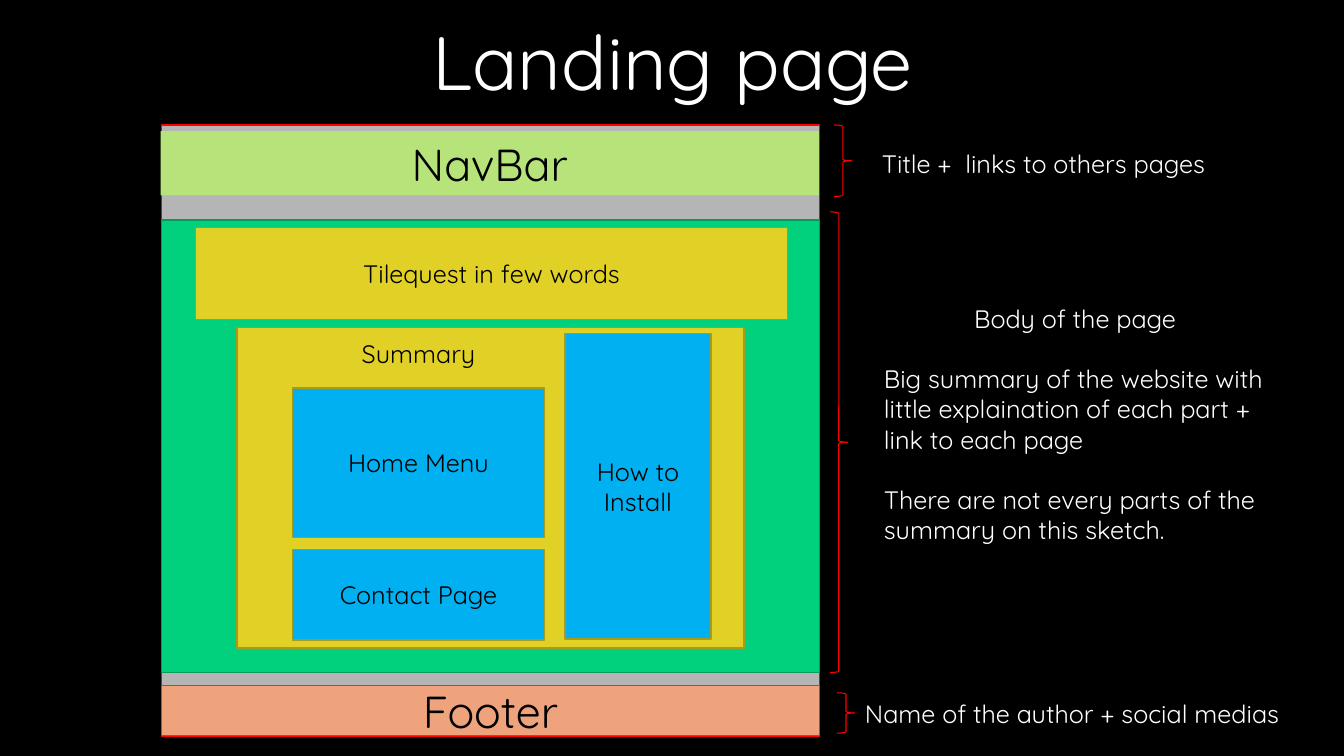
from pptx import Presentation
from pptx.dml.color import RGBColor
from pptx.enum import shapes, text
from pptx.util import Inches, Pt

COLORS = {
    "black": "000000", "white": "FFFFFF", "red": "FF0000", "gray": "B5B5B5",
    "lime": "B6E37A", "green": "01D17D", "dark green": "019B5C",
    "salmon": "EFA37D", "yellow": "E1D126", "olive": "A69B1C", "blue": "00B0F0",
}
FONT = "Quicksand"
WIDTH, HEIGHT = 13.33, 7.5
BLANK_LINE = 21.6  # points between note paragraphs


def rgb(name):
    return RGBColor.from_string(COLORS[name])


def inside(box, left, top, width, height):
    """Turn percentages of a box into a box in inches."""
    x, y, w, h = box
    return (x + w * left / 100, y + h * top / 100,
            w * width / 100, h * height / 100)


def write(sp, paragraphs, size=18, color="black", anchor="MIDDLE", gap=0):
    """Fill a shape with (alignment, wording) paragraphs."""
    tf = sp.text_frame
    frame_format = {"word_wrap": True, "auto_size": text.MSO_AUTO_SIZE.NONE,
                    "vertical_anchor": text.MSO_ANCHOR[anchor]}
    for name, value in frame_format.items():
        setattr(tf, name, value)
    for i, (align, words) in enumerate(paragraphs):
        p = tf.add_paragraph() if i else tf.paragraphs[0]
        p.alignment = text.PP_ALIGN[align]
        p.space_before = Pt(gap if i else 0)
        r = p.add_run()
        r.text = words
        r.font.color.rgb = rgb(color)
        for name, value in {"name": FONT, "size": Pt(size)}.items():
            setattr(r.font, name, value)


def add_shape(s, kind, box, fill=None, line=None, weight=1):
    sp = s.shapes.add_shape(kind, *map(Inches, box))
    sp.shadow.inherit = False
    if fill:
        sp.fill.solid()
        sp.fill.fore_color.rgb = rgb(fill)
    else:
        sp.fill.background()
    if line:
        sp.line.color.rgb = rgb(line)
        sp.line.width = Pt(weight)
    else:
        sp.line.fill.background()
    return sp


def add_label(s, box, paragraphs, **style):
    sp = s.shapes.add_textbox(*map(Inches, box))
    write(sp, paragraphs, anchor="TOP", **style)


def add_title(s, box, words):
    title = s.shapes.title
    for name, value in zip(("left", "top", "width", "height"), box):
        setattr(title, name, Inches(value))
    write(title, [("CENTER", words)], size=54, color="white", anchor="TOP")


def add_sketch(s, box):
    """Draw the page wireframe: frame, page sections, then summary cards."""
    blocks = [
        # left, top, width, height (%), fill, line, wording, size
        ((0, 0, 100, 100), "gray", "red", None, 18),
        ((-0.1, 1, 100, 10.5), "lime", None, "NavBar", 32),
        ((0, 15.5, 100, 74), "green", "dark green", None, 18),
        ((0, 91.6, 100, 8.2), "salmon", "dark green", "Footer", 32),
        ((5.2, 16.8, 89.9, 15), "yellow", "olive", "Tilequest in few words", 18),
        ((11.5, 33.1, 77, 52.4), "yellow", "olive", None, 18),
        ((19.9, 43, 38.3, 24.4), "blue", "olive", "Home Menu", 18),
        ((61.3, 34.1, 22.2, 49.9), "blue", "olive", "How to Install", 18),
        ((19.9, 69.4, 38.3, 14.8), "blue", "olive", "Contact Page", 18),
    ]
    for share, fill, line, words, size in blocks:
        sp = add_shape(s, shapes.MSO_SHAPE.RECTANGLE, inside(box, *share), fill, line)
        if words:
            write(sp, [("CENTER", words)], size=size)
    add_label(s, inside(box, 19.9, 34.1, 38.3, 6.6), [("CENTER", "Summary")])


def add_notes_column(s, box):
    """Place one brace and its explanation beside each page section."""
    notes = [
        # brace (%), explanation (%), paragraphs
        ((0.8, 0, 3.5, 11.7), (8.2, 3, 87, 6.6),
         [("LEFT", "Title +  links to others pages")]),
        ((0, 14.2, 3.5, 75.3), (8.6, 28.3, 78.2, 41.5),
         [("CENTER", "Body of the page"),
          ("LEFT", "Big summary of the website with little explaination "
                   "of each part + link to each page"),
          ("LEFT", "There are not every parts of the summary on this sketch.")]),
        ((1.4, 92.8, 3.5, 6.6), (4.9, 92.9, 95.1, 6.6),
         [("LEFT", "Name of the author + social medias")]),
    ]
    for brace, label, paragraphs in notes:
        add_shape(s, shapes.MSO_SHAPE.RIGHT_BRACE, inside(box, *brace),
                  line="red", weight=0.75)
        add_label(s, inside(box, *label), paragraphs, color="white", gap=BLANK_LINE)


def main():
    prs = Presentation()
    prs.slide_width, prs.slide_height = Inches(WIDTH), Inches(HEIGHT)
    s = prs.slides.add_slide(prs.slide_layouts.get_by_name("Title Only"))
    s.background.fill.solid()
    s.background.fill.fore_color.rgb = rgb("black")

    # Title across the top, sketch on the left, notes on the right
    add_title(s, (0.25, 0.1, 12.84, 1.01), "Landing page")
    add_sketch(s, (1.6, 1.24, 6.53, 6.07))
    add_notes_column(s, (8.23, 1.24, 5.1, 6.07))
    prs.save("out.pptx")


if __name__ == "__main__":
    main()
